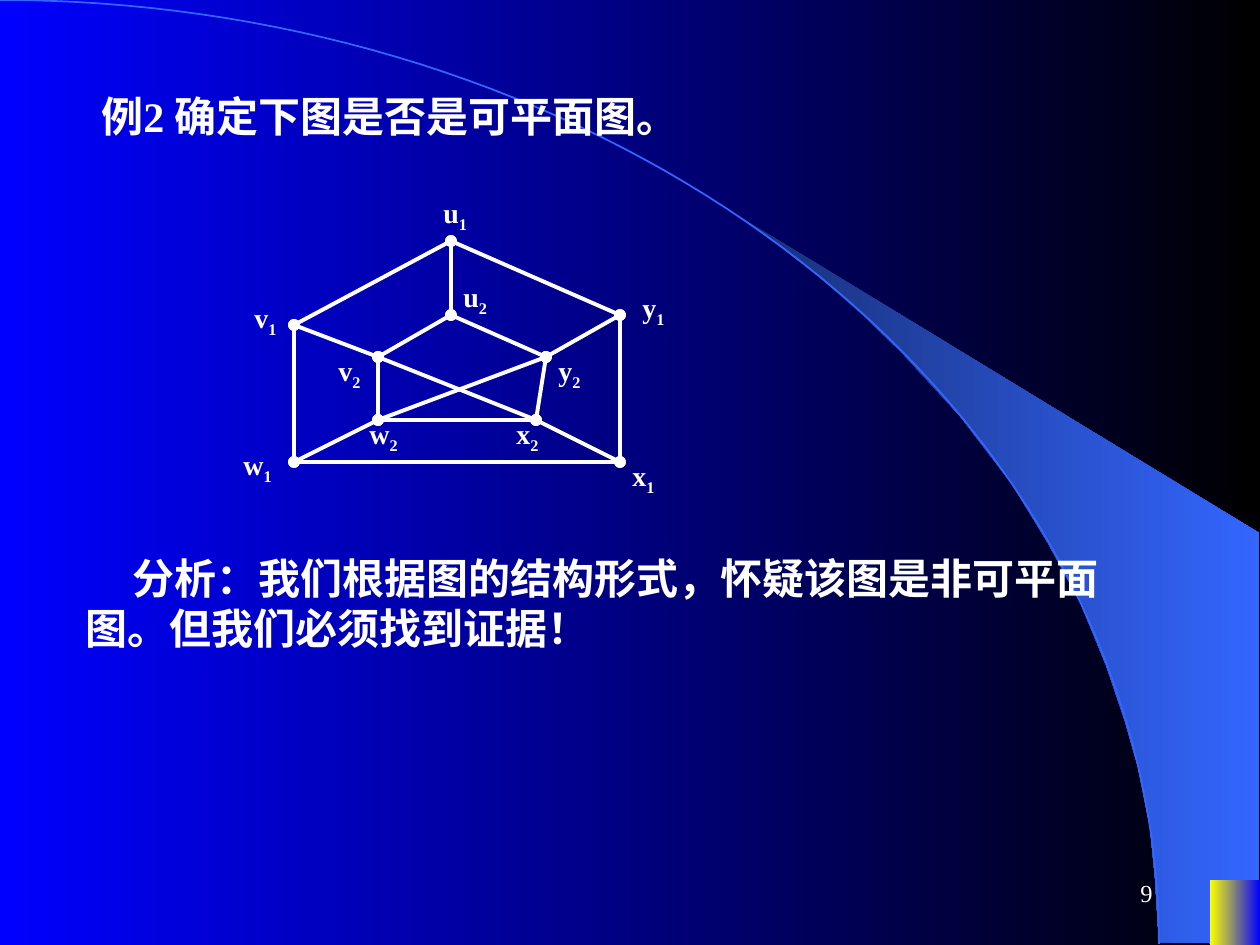
from dataclasses import dataclass
from math import cos, pi, sin

from lxml import etree
from pptx import Presentation
from pptx.dml.color import RGBColor
from pptx.enum.shapes import MSO_CONNECTOR, MSO_SHAPE
from pptx.enum.text import MSO_ANCHOR, MSO_AUTO_SIZE, PP_ALIGN
from pptx.oxml.ns import qn
from pptx.util import Emu, Pt

STRAIGHT = MSO_CONNECTOR.STRAIGHT
RECTANGLE = MSO_SHAPE.RECTANGLE
LEFT, RIGHT = PP_ALIGN.LEFT, PP_ALIGN.RIGHT
TOP, MIDDLE = MSO_ANCHOR.TOP, MSO_ANCHOR.MIDDLE
GROW, FIXED = MSO_AUTO_SIZE.SHAPE_TO_FIT_TEXT, MSO_AUTO_SIZE.NONE

EMU_PER_PX = 914400 / 126
WIDTH, HEIGHT = 1260, 945
FONT = "Times New Roman"
WHITE, SKY, NAVY = "FFFFFF", "3366FF", "182F76"
BLUE, BLACK, YELLOW = "0000FF", "000000", "FFFF00"
ARC_RADIUS_X, ARC_RADIUS_Y, ARC_STEPS = 1159, 944, 72
PARAGRAPH_INDENT = 47

BAND = [
    (1159, 942), (1259, 944), (1259, 533), (742, 218), (786, 251), (823, 280),
    (863, 315), (902, 353), (960, 416), (1012, 484), (1048, 543), (1081, 604),
    (1106, 665), (1125, 721), (1138, 767), (1150, 827), (1155, 877),
]


@dataclass(frozen=True)
class Vertex:
    """A graph vertex with the corner of its label box."""

    x: int
    y: int
    label_left: int
    label_top: int
    label_width: int = 54


VERTICES = {
    "u1": Vertex(451, 241, 431, 189),
    "u2": Vertex(451, 315, 451, 273),
    "v1": Vertex(294, 325, 242, 294),
    "v2": Vertex(378, 357, 326, 347),
    "y1": Vertex(620, 315, 630, 284),
    "y2": Vertex(546, 357, 546, 347),
    "x1": Vertex(620, 462, 620, 452),
    "x2": Vertex(536, 420, 504, 410),
    "w1": Vertex(294, 462, 231, 441, 63),
    "w2": Vertex(378, 420, 357, 410, 63),
}
EDGES = (
    "u1-v1 u1-y1 v1-w1 w1-x1 y1-x1 u2-v2 u2-y2 v2-w2 w2-x2 "
    "y2-x2 y1-y2 y2-w2 w2-w1 v1-v2 v2-x2 x2-x1 u1-u2"
).split()


def px(length: float) -> Emu:
    """Turn pixels into EMU."""
    return Emu(round(length * EMU_PER_PX))


def color(value: str) -> RGBColor:
    """Turn a hex string into a colour."""
    return RGBColor.from_string(value)


def fill_gradient(fill, start: str, end: str) -> None:
    """Fill with a gradient running from left to right."""
    fill.gradient()
    fill.gradient_angle = 0
    for stop, value, position in zip(fill.gradient_stops, (start, end), (0, 1)):
        stop.color.rgb = color(value)
        stop.position = position


def add_outline(slide, points: list, closed: bool):
    """Draw a freeform through points given in pixels."""
    corners = [(px(x), px(y)) for x, y in points]
    builder = slide.shapes.build_freeform(*corners[0], scale=1.0)
    builder.add_line_segments(corners[1:], close=closed)
    shape = builder.convert_to_shape()
    shape.shadow.inherit = False
    return shape


def add_text(slide, text: str, left: int, top: int, width: int, height: int, *,
             size: int, bold: bool = True, subscript: str = "", align=LEFT,
             anchor=TOP, auto_size=GROW, before: int = 0, indent: int = 0) -> None:
    """Add a text box, with an optional subscript after the text."""
    box = slide.shapes.add_textbox(px(left), px(top), px(width), px(height))
    frame = box.text_frame
    frame.word_wrap = True
    frame.auto_size = auto_size
    frame.vertical_anchor = anchor
    paragraph = frame.paragraphs[0]
    paragraph.alignment = align
    paragraph.space_before = Pt(before)
    if indent:
        paragraph._p.get_or_add_pPr().set("indent", str(px(indent)))
    for content, baseline in ((text, 0), (subscript, -25000)):
        if not content:
            continue
        run = paragraph.add_run()
        run.text = content
        run.font.name = FONT
        run.font.size = Pt(size)
        run.font.bold = bold
        run.font.color.rgb = color(WHITE)
        if baseline:
            run._r.get_or_add_rPr().set("baseline", str(baseline))


def add_edge(slide, start: Vertex, end: Vertex) -> None:
    """Join two vertices by a line with a dot at each end."""
    connector = slide.shapes.add_connector(
        STRAIGHT, px(start.x), px(start.y), px(end.x), px(end.y))
    connector.line.color.rgb = color(WHITE)
    connector.line.width = Pt(2.25)
    properties = connector._element.spPr
    line = properties.find(qn("a:ln"))
    for tag in ("a:headEnd", "a:tailEnd"):
        etree.SubElement(line, qn(tag), type="oval")
    etree.SubElement(properties, qn("a:effectLst"))


def add_backdrop(slide) -> None:
    """Draw the background, the sweeping band, the arc and the corner block."""
    fill_gradient(slide.background.fill, BLUE, BLACK)
    band = add_outline(slide, BAND, closed=True)
    fill_gradient(band.fill, NAVY, SKY)
    band.line.fill.background()

    angles = [pi / 2 * step / ARC_STEPS for step in range(ARC_STEPS + 1)]
    arc = add_outline(
        slide,
        [(ARC_RADIUS_X * sin(angle), ARC_RADIUS_Y * (1 - cos(angle))) for angle in angles],
        closed=False)
    arc.fill.background()
    arc.line.color.rgb = color(SKY)
    arc.line.width = Pt(1)

    block = slide.shapes.add_shape(RECTANGLE, px(1210), px(880), px(50), px(65))
    block.shadow.inherit = False
    fill_gradient(block.fill, YELLOW, BLUE)
    block.line.fill.background()


def add_graph(slide) -> None:
    """Draw the edges and the vertex labels."""
    for edge in EDGES:
        start, end = edge.split("-")
        add_edge(slide, VERTICES[start], VERTICES[end])
    for name, vertex in VERTICES.items():
        add_text(slide, name[0], vertex.label_left, vertex.label_top,
                 vertex.label_width, 52, size=16, subscript=name[1])


def main() -> None:
    """Build and save the slide."""
    presentation = Presentation()
    presentation.slide_width, presentation.slide_height = px(WIDTH), px(HEIGHT)
    slide = presentation.slides.add_slide(presentation.slide_layouts[6])
    add_backdrop(slide)
    add_text(slide, "9", 903, 861, 262, 63, size=14, bold=False,
             align=RIGHT, anchor=MIDDLE, auto_size=FIXED)
    add_text(slide, "例2 确定下图是否是可平面图。", 42, 84, 1040, 63,
             size=24, before=15, indent=PARAGRAPH_INDENT)
    add_graph(slide)
    add_text(slide, "分析：我们根据图的结构形式，怀疑该图是非可平面图。但我们必须找到证据！",
             73, 546, 1040, 113, size=24, before=15, indent=PARAGRAPH_INDENT)
    presentation.save("out.pptx")


if __name__ == "__main__":
    main()
